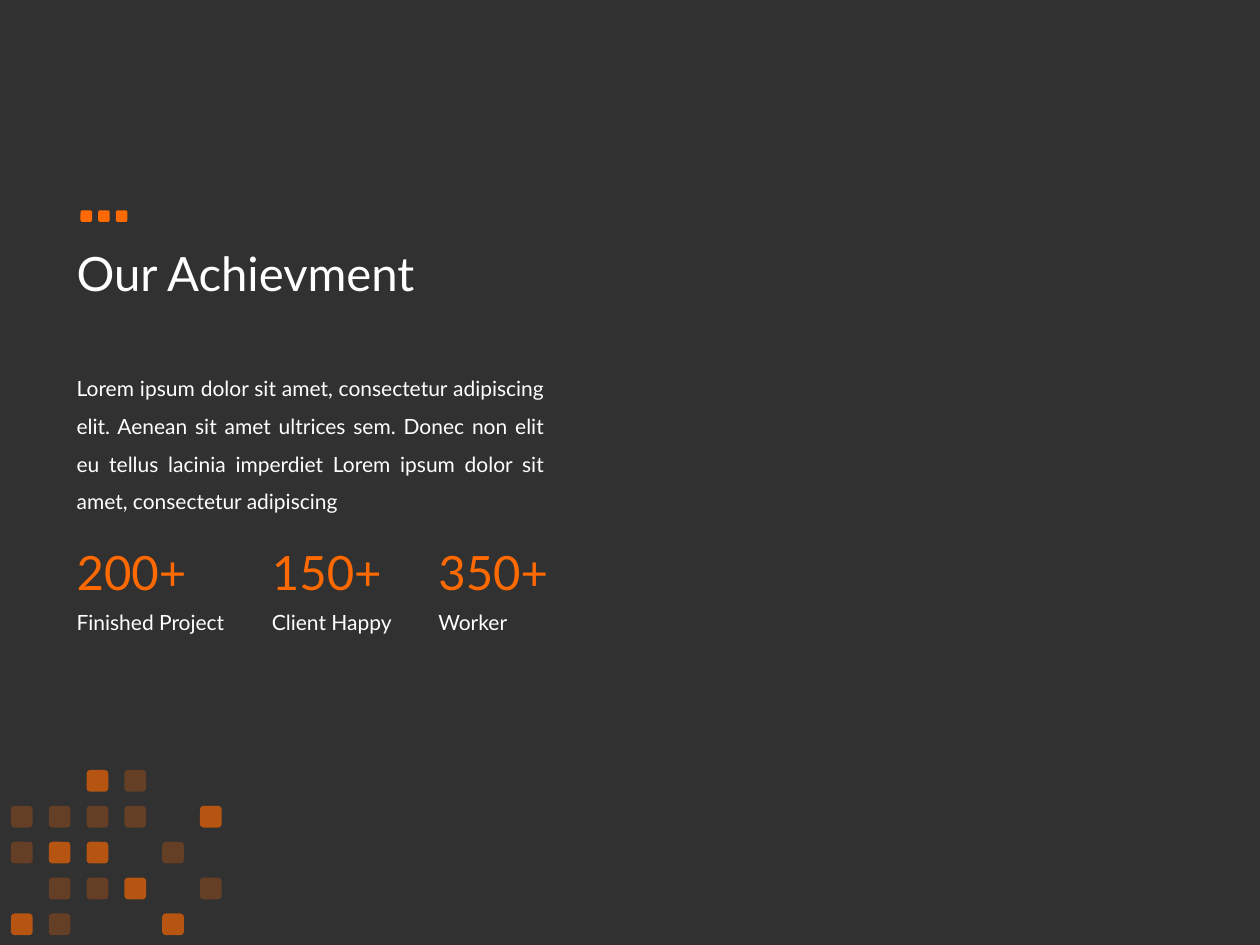
from dataclasses import dataclass

from lxml import etree
from pptx import Presentation
from pptx.dml.color import RGBColor
from pptx.enum.shapes import MSO_SHAPE
from pptx.enum.text import MSO_ANCHOR, MSO_AUTO_SIZE, PP_ALIGN
from pptx.oxml.ns import qn
from pptx.util import Pt

ROUND = MSO_SHAPE.ROUNDED_RECTANGLE
TOP, MIDDLE = MSO_ANCHOR.TOP, MSO_ANCHOR.MIDDLE
LEFT, JUSTIFY = PP_ALIGN.LEFT, PP_ALIGN.JUSTIFY
GROW = MSO_AUTO_SIZE.SHAPE_TO_FIT_TEXT

DARK = RGBColor(0x31, 0x31, 0x31)
WHITE = RGBColor(0xFF, 0xFF, 0xFF)
ORANGE = RGBColor(0xFE, 0x69, 0x02)
FONT = "Lato"
BIG, SMALL = 27, 12
MARGIN = 36.7


@dataclass
class Box:
    left: float
    top: float
    width: float
    height: float


@dataclass
class Stat:
    left: float
    value: str
    label: str


STATS = [
    Stat(MARGIN, "200+", "Finished Project"),
    Stat(148.3, "150+", "Client Happy"),
    Stat(243.4, "350+", "Worker"),
]
BODY = (
    "Lorem ipsum dolor sit amet, consectetur adipiscing elit. "
    "Aenean sit amet ultrices sem. Donec non elit eu tellus lacinia "
    "imperdiet Lorem ipsum dolor sit amet, consectetur adipiscing"
)

# Opacity in percent of each kind of tile; a dot leaves a gap.
TONES = {"#": 65, "o": 25}
TILES = [
    "..#o..",
    "oooo.#",
    "o##.o.",
    ".oo#.o",
    "#o..#.",
]


def add_text(slide, box: Box, text: str, size: int, color: RGBColor,
             align=LEFT, anchor=TOP, lead: float = 1.0) -> None:
    shape = slide.shapes.add_textbox(
        Pt(box.left), Pt(box.top), Pt(box.width), Pt(box.height))
    frame = shape.text_frame
    frame.word_wrap = True
    frame.vertical_anchor = anchor
    if anchor == TOP:
        frame.auto_size = GROW
    para = frame.paragraphs[0]
    para.alignment = align
    para.line_spacing = lead
    run = para.add_run()
    run.text = text
    run.font.name = FONT
    run.font.size = Pt(size)
    run.font.color.rgb = color


def add_tile(shapes, left: float, top: float, side: float,
             tone: int = 100) -> None:
    """Draw a rounded orange square; tone is its opacity in percent."""
    tile = shapes.add_shape(ROUND, Pt(left), Pt(top), Pt(side), Pt(side))
    tile.shadow.inherit = False
    tile.line.fill.background()
    tile.fill.solid()
    tile.fill.fore_color.rgb = ORANGE
    if tone < 100:
        color = tile.fill._xPr.find(".//" + qn("a:srgbClr"))
        etree.SubElement(color, qn("a:alpha"), val=str(tone * 1000))


def add_mosaic(slide) -> None:
    group = slide.shapes.add_group_shape()
    for row, line in enumerate(TILES):
        for col, mark in enumerate(line):
            if mark in TONES:
                add_tile(group.shapes, 6.3 + 21.6 * col, 440 + 20.5 * row,
                         12.4, TONES[mark])


def add_dots(slide) -> None:
    group = slide.shapes.add_group_shape()
    for col in range(3):
        add_tile(group.shapes, 46 + 10.1 * col, 120.2, 6.6)


def main() -> None:
    deck = Presentation()
    deck.slide_width, deck.slide_height = Pt(720), Pt(540)
    slide = deck.slides.add_slide(deck.slide_layouts[6])
    slide.background.fill.solid()
    slide.background.fill.fore_color.rgb = DARK

    add_text(slide, Box(MARGIN, 105.8, 620.6, 104.4), "Our Achievment",
             BIG, WHITE, anchor=MIDDLE, lead=0.9)
    for stat in STATS:
        add_text(slide, Box(stat.left, 306.7, 85.7, 40.3), stat.value,
                 BIG, ORANGE)
        add_text(slide, Box(stat.left, 344.9, 126.7, 21.6), stat.label,
                 SMALL, WHITE)
    add_text(slide, Box(MARGIN, 203.8, 281.5, 91.4), BODY, SMALL, WHITE,
             align=JUSTIFY, lead=1.5)
    add_mosaic(slide)
    add_dots(slide)
    deck.save("out.pptx")


if __name__ == "__main__":
    main()
